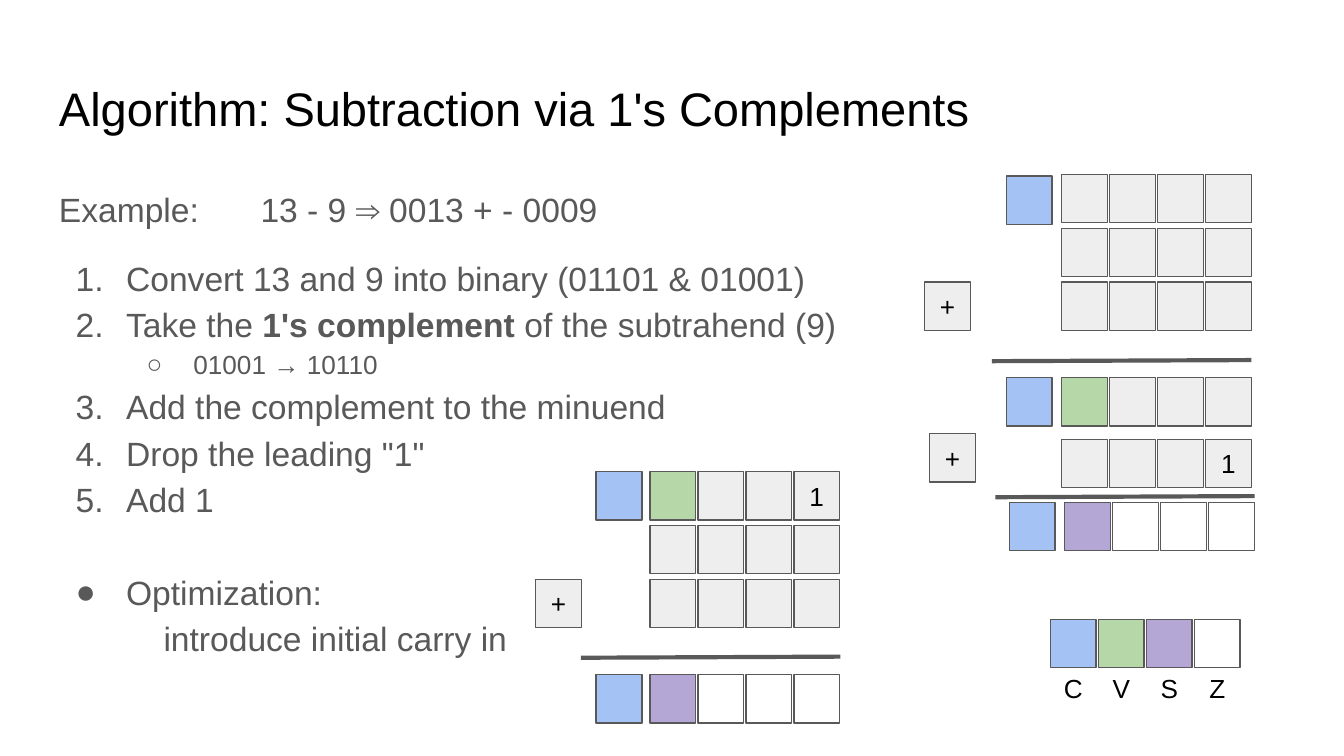
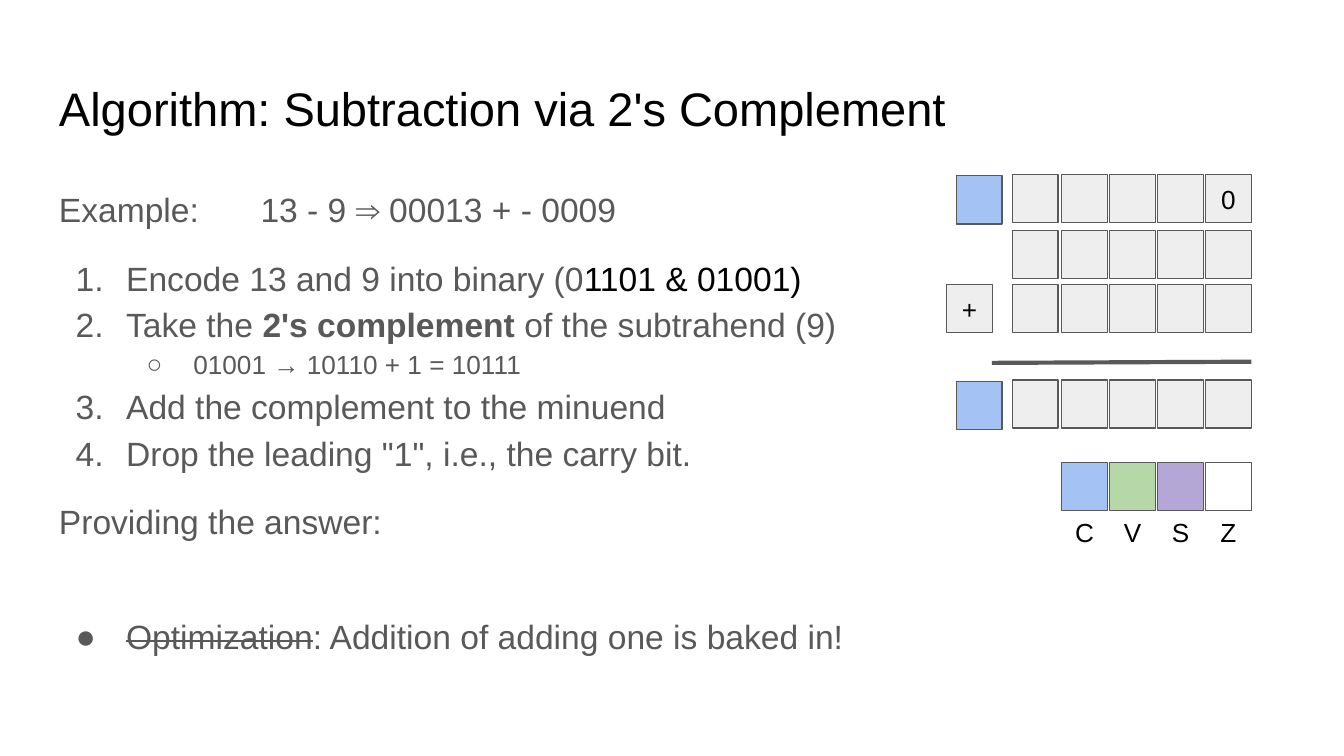
"""Build two slides on binary subtraction with 1's and 2's complements."""
from lxml.etree import SubElement
from pptx import Presentation
from pptx.dml.color import RGBColor
from pptx.enum.shapes import MSO_CONNECTOR, MSO_SHAPE
from pptx.enum.text import MSO_ANCHOR, PP_ALIGN
from pptx.oxml.ns import qn
from pptx.util import Pt

COLORS = {
    "ink": "000000", "gray": "595959",
    "light": "EEEEEE", "white": "FFFFFF",
    "carry": "A4C2F4", "over": "B6D7A8", "sign": "B4A7D6",
}
CODES = {"L": "light", "Z": "white", "C": "carry", "V": "over", "S": "sign"}
FONT = "Arial"
WIDE, HIGH, STEP = 24.5, 25.8, 25.7
LISTS = {
    "plain": (0, 0, None),
    "num": (36, -27, "auto"),
    "sub": (72, -25, "○"),
    "dot": (36, -27, "●"),
    "more": (56, 0, None),
}


def add_run(para, text, size, color, bold=False, strike=False):
    run = para.add_run()
    run.text = text
    run.font.size = Pt(size)
    run.font.name = FONT
    run.font.bold = bold
    run.font.color.rgb = RGBColor.from_string(COLORS[color])
    if strike:
        run.font._element.set("strike", "sngStrike")


def add_text(slide, left, top, wide, high):
    box = slide.shapes.add_textbox(Pt(left), Pt(top), Pt(wide), Pt(high))
    frame = box.text_frame
    frame.word_wrap = True
    frame.margin_left = frame.margin_right = Pt(7.2)
    frame.margin_top = frame.margin_bottom = Pt(7.2)
    return frame


ones = {
    "title": "Algorithm: Subtraction via 1's Complements",
    "body": [
        ("plain", 0, [("Example:\t13 - 9 ⇒ 0013 + - 0009", "")]),
        ("num", 12, [("Convert 13 and 9 into binary (01101 & 01001)", "")]),
        ("num", 0, [("Take the", ""), (" 1's complement ", "bold"),
                    ("of the subtrahend (9)", "")]),
        ("sub", 0, [("01001 → 10110", "")]),
        ("num", 0, [("Add the complement to the minuend", "")]),
        ("num", 0, [('Drop the leading "1"', "")]),
        ("num", 0, [("Add 1", "")]),
        ("dot", 24.8, [("Optimization:", "")]),
        ("more", 0, [("introduce initial carry in", "")]),
    ],
    "rows": [
        (568.8, 93.6, "LLLL", ""), (568.8, 122.4, "LLLL", ""),
        (568.8, 151.2, "LLLL", ""), (568.8, 202.4, "VLLL", ""),
        (568.8, 235.4, "LLLL", "1"), (570.4, 269.3, "SZZZ", ""),
        (539.2, 94.4, "C", ""), (539.2, 202.4, "C", ""),
        (540.8, 269.3, "C", ""),
        (495.4, 151.2, "L", "+"), (498, 232.4, "L", "+"),
        (348.2, 252.8, "VLLL", "1"), (348.2, 281.4, "LLLL", ""),
        (348.2, 310.4, "LLLL", ""), (348.2, 361.5, "SZZZ", ""),
        (319.4, 252.8, "C", ""), (319.4, 361.5, "C", ""),
        (287, 310.4, "L", "+"),
    ],
    "bars": [(531.4, 193.5), (533.2, 266.4), (311.2, 352.4)],
    "key": (562.8, 331.8),
}

twos = {
    "title": "Algorithm: Subtraction via 2's Complement",
    "body": [
        ("plain", 0, [("Example:\t13 - 9 ⇒ 00013 + - 0009", "")]),
        ("num", 12, [("Encode 13 and 9 into binary (0", ""),
                     ("1101 & 01001)", "ink")]),
        ("num", 0, [("Take the ", ""), ("2's complement", "bold"),
                    (" of the subtrahend (9)", "")]),
        ("sub", 0, [("01001 → 10110 + 1 = 10111", "")]),
        ("num", 0, [("Add the complement to the minuend", "")]),
        ("num", 0, [('Drop the leading "1", i.e., the carry bit.', "")]),
        ("plain", 12, [("Providing the answer:", "")]),
        ("dot", 36.8, [("Optimization", "strike"),
                       (": Addition of adding one is baked in!", "")]),
    ],
    "rows": [(512.4, 94.2, "C", ""), (512.4, 204.4, "C", ""),
             (507.2, 152.5, "L", "+")],
    "bars": [(531.4, 194.4)],
    "key": (568.8, 247.8),
}
for top, mark in ((93.6, "0"), (123.4, ""), (152.5, ""), (203.6, "")):
    twos["rows"] += [(542.4, top, "L", ""), (568.8, top, "LLLL", mark)]

deck = Presentation()
deck.slide_width, deck.slide_height = Pt(720), Pt(405)

for data in (ones, twos):
    slide = deck.slides.add_slide(deck.slide_layouts[6])

    head = add_text(slide, 24.5, 35, 671, 45.2)
    head.vertical_anchor = MSO_ANCHOR.MIDDLE
    add_run(head.paragraphs[0], data["title"], 25.2, "ink")

    body = add_text(slide, 24.5, 90.7, 671, 269)
    for num, (kind, gap, runs) in enumerate(data["body"]):
        para = body.add_paragraph() if num else body.paragraphs[0]
        para.line_spacing = 1.15
        para.space_before = Pt(gap)
        left, hang, mark = LISTS[kind]
        props = para._p.get_or_add_pPr()
        props.set("marL", str(Pt(left)))
        props.set("indent", str(Pt(hang)))
        if mark:
            tint = SubElement(props, qn("a:buClr"))
            SubElement(tint, qn("a:srgbClr"), val=COLORS["gray"])
            SubElement(props, qn("a:buFont"), typeface=FONT)
            if mark == "auto":
                SubElement(props, qn("a:buAutoNum"), type="arabicPeriod")
            else:
                SubElement(props, qn("a:buChar"), char=mark)
        if num == 0:
            tabs = SubElement(props, qn("a:tabLst"))
            SubElement(tabs, qn("a:tab"), pos=str(Pt(90)), algn="l")
        if kind == "sub":
            para.level = 1
        for text, style in runs:
            add_run(para, text, 14 if kind == "sub" else 18,
                    "ink" if style == "ink" else "gray",
                    style == "bold", style == "strike")

    left, top = data["key"]
    for x, y, codes, mark in data["rows"] + [(left, top, "CVSZ", "")]:
        for col, (code, sign) in enumerate(zip(codes, mark.rjust(len(codes)))):
            cell = slide.shapes.add_shape(
                MSO_SHAPE.RECTANGLE, Pt(x + col * STEP), Pt(y),
                Pt(WIDE), Pt(HIGH))
            cell.shadow.inherit = False
            cell.fill.solid()
            cell.fill.fore_color.rgb = RGBColor.from_string(COLORS[CODES[code]])
            cell.line.color.rgb = RGBColor.from_string(COLORS["gray"])
            cell.line.width = Pt(0.75)
            if sign.strip():
                frame = cell.text_frame
                frame.margin_left = frame.margin_right = Pt(7.2)
                frame.vertical_anchor = MSO_ANCHOR.MIDDLE
                frame.paragraphs[0].alignment = PP_ALIGN.CENTER
                add_run(frame.paragraphs[0], sign, 14, "ink")

    for col, flag in enumerate("CVSZ"):
        frame = add_text(slide, left + col * STEP, top + 24.1, WIDE, HIGH)
        frame.vertical_anchor = MSO_ANCHOR.MIDDLE
        frame.paragraphs[0].alignment = PP_ALIGN.CENTER
        add_run(frame.paragraphs[0], flag, 14, "ink")

    for x, y in data["bars"]:
        bar = slide.shapes.add_connector(
            MSO_CONNECTOR.STRAIGHT, Pt(x), Pt(y), Pt(x + 139), Pt(y - 0.6))
        bar.line.color.rgb = RGBColor.from_string(COLORS["gray"])
        bar.line.width = Pt(2.25)
        SubElement(bar._element.spPr, qn("a:effectLst"))

deck.save("out.pptx")
